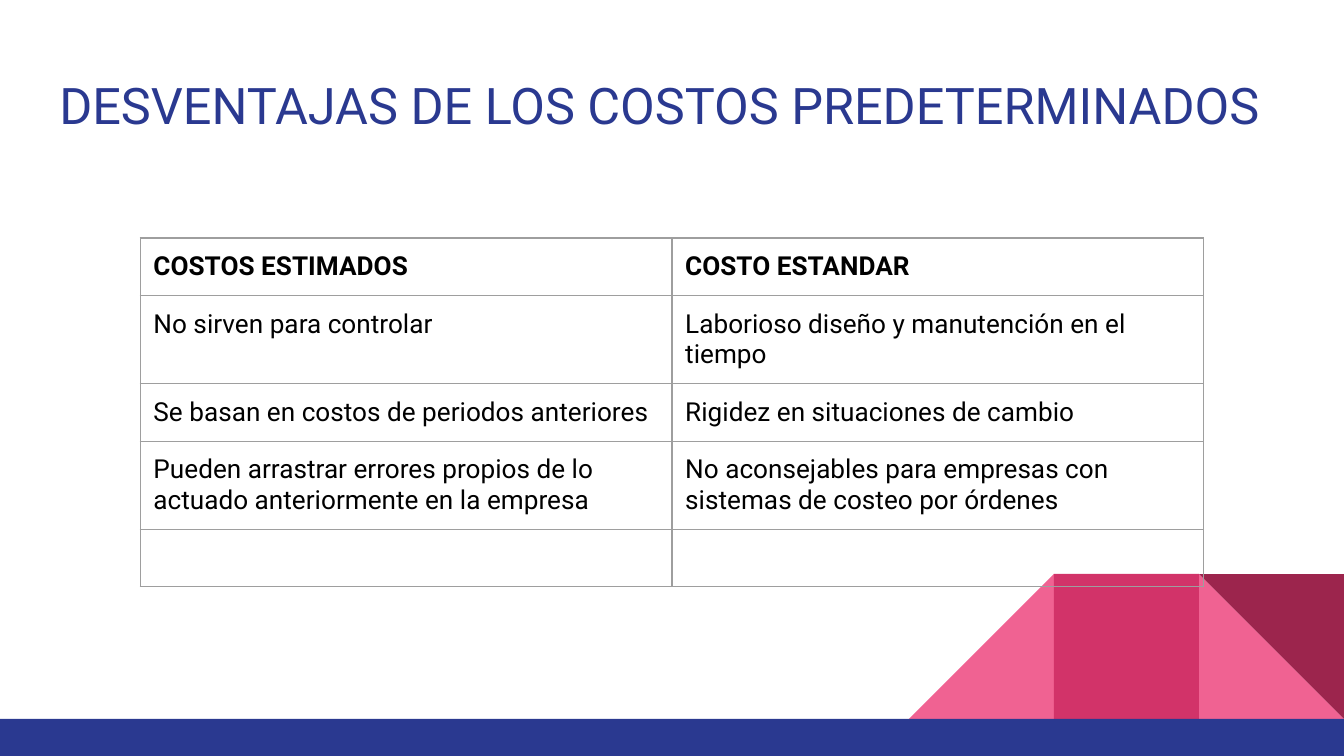
"""Build a slide comparing the drawbacks of estimated and standard costs."""
from lxml import etree
from pptx import Presentation
from pptx import util as u
from pptx.dml.color import RGBColor
from pptx.enum import shapes, text
from pptx.oxml.ns import qn

BLUE = RGBColor(0x2A, 0x39, 0x90)
PINK = RGBColor(0xF0, 0x62, 0x92)
ROSE = RGBColor(0xD2, 0x33, 0x69)
WINE = RGBColor(0x9C, 0x25, 0x4D)
GREY = RGBColor(0x9E, 0x9E, 0x9E)
BLACK = RGBColor(0, 0, 0)
FONT = "Roboto"

TITLE = "DESVENTAJAS DE LOS COSTOS PREDETERMINADOS"
ROWS = [
    ("COSTOS ESTIMADOS", "COSTO ESTANDAR"),
    ("No sirven para controlar", "Laborioso diseño y manutención en el tiempo"),
    ("Se basan en costos de periodos anteriores", "Rigidez en situaciones de cambio"),
    ("Pueden arrastrar errores propios de lo actuado anteriormente en la empresa",
     "No aconsejables para empresas con sistemas de costeo por órdenes"),
    ("", ""),
]
TRIANGLE = shapes.MSO_SHAPE.RIGHT_TRIANGLE
RECTANGLE = shapes.MSO_SHAPE.RECTANGLE
WIDTH, HEIGHT = u.Cm(25.4), u.Cm(14.29)
TILE, BAND = u.Cm(2.74), u.Cm(0.7)
TILES = [
    (1, TRIANGLE, PINK, 0, False),
    (3, TRIANGLE, PINK, 0, True),
    (2, RECTANGLE, ROSE, 0, False),
    (1, TRIANGLE, WINE, 180, False),
]


def add_plain_shape(page, kind, left, top, width, height, color):
    shape = page.shapes.add_shape(kind, left, top, width, height)
    shape.shadow.inherit = False
    shape.fill.solid()
    shape.fill.fore_color.rgb = color
    shape.line.fill.background()
    return shape


def set_font(para, size, color, bold=False):
    para.font.name = FONT
    para.font.size = u.Pt(size)
    para.font.color.rgb = color
    para.font.bold = bold


def add_decoration(page):
    floor = HEIGHT - BAND
    for steps, kind, color, rotation, mirrored in TILES:
        tile = add_plain_shape(page, kind, WIDTH - steps * TILE, floor - TILE, TILE, TILE, color)
        tile.rotation = rotation
        if mirrored:
            tile._element.spPr.find(qn("a:xfrm")).set("flipH", "1")
    add_plain_shape(page, RECTANGLE, 0, floor, WIDTH, BAND, BLUE)


def add_title(page):
    title = page.shapes.title
    title.left, title.top, title.width, title.height = map(u.Cm, (0.87, 1.14, 23.67, 1.68))
    frame = title.text_frame
    frame.text = TITLE
    frame.word_wrap = True
    frame.auto_size = text.MSO_AUTO_SIZE.NONE
    frame.vertical_anchor = text.MSO_ANCHOR.MIDDLE
    frame.margin_left = frame.margin_right = frame.margin_top = frame.margin_bottom = u.Cm(0.25)
    para = frame.paragraphs[0]
    para.alignment = text.PP_ALIGN.LEFT
    set_font(para, 27, BLUE)


def add_borders(cell):
    properties = cell._tc.get_or_add_tcPr()
    for side in ("lnL", "lnR", "lnT", "lnB"):
        line = etree.SubElement(properties, qn(f"a:{side}"), w=str(u.Pt(0.75)))
        fill = etree.SubElement(line, qn("a:solidFill"))
        etree.SubElement(fill, qn("a:srgbClr"), val=str(GREY))


def add_comparison(page):
    column, row_height = u.Cm(10.05), u.Cm(1.08)
    table = page.shapes.add_table(len(ROWS), 2, u.Cm(2.65), u.Cm(4.5),
                                  2 * column, len(ROWS) * row_height).table
    for row, entries in enumerate(ROWS):
        for col, entry in enumerate(entries):
            cell = table.cell(row, col)
            cell.text = entry
            cell.margin_left = cell.margin_right = cell.margin_top = cell.margin_bottom = u.Cm(0.25)
            set_font(cell.text_frame.paragraphs[0], 14, BLACK, bold=row == 0)
            add_borders(cell)
            cell.fill.background()


def main():
    deck = Presentation()
    deck.slide_width, deck.slide_height = WIDTH, HEIGHT
    page = deck.slides.add_slide(deck.slide_layouts[5])
    add_decoration(page)
    add_title(page)
    add_comparison(page)
    deck.save("out.pptx")


if __name__ == "__main__":
    main()
